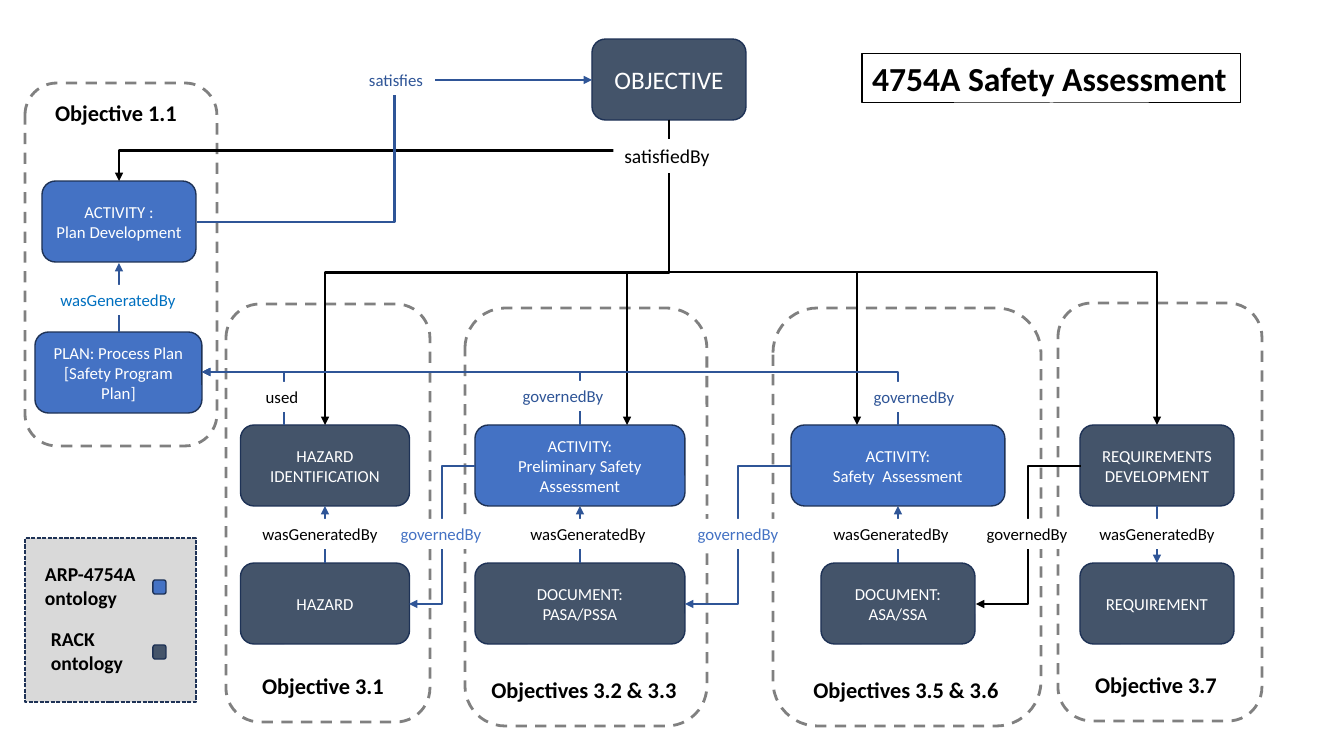
import dataclasses

import lxml.etree
import pptx
import pptx.dml.color
import pptx.enum.dml
import pptx.enum.shapes
import pptx.enum.text
import pptx.oxml.ns
import pptx.util

SHAPE = pptx.enum.shapes.MSO_SHAPE
CONNECTOR = pptx.enum.shapes.MSO_CONNECTOR
ALIGN = pptx.enum.text.PP_ALIGN
ANCHOR = pptx.enum.text.MSO_ANCHOR
DASH = pptx.enum.dml.MSO_LINE
qn = pptx.oxml.ns.qn


@dataclasses.dataclass(frozen=True)
class Theme:
    font: str = "Calibri"
    white: str = "FFFFFF"
    black: str = "000000"
    slate: str = "44546A"
    blue: str = "4472C4"
    link: str = "2F5597"
    sky: str = "0070C0"
    edge: str = "1E3256"
    frame: str = "808080"
    panel: str = "D9D9D9"
    title: int = 24
    objective: int = 18
    caption: int = 16
    legend: int = 14
    body: int = 12


T = Theme()
BOX_H = 81
LABEL_H = 30
ROW_GAP = 138


def px(n):
    return pptx.util.Emu(round(n * 914400 / 100.8))


def rgb(color):
    return pptx.dml.color.RGBColor.from_string(color)


def set_text(sp, text, size, color, bold=False, align=ALIGN.CENTER, wrap=True, anchor=ANCHOR.MIDDLE):
    tf = sp.text_frame
    tf.text = text
    tf.word_wrap = wrap
    tf.auto_size = pptx.enum.text.MSO_AUTO_SIZE.NONE
    tf.vertical_anchor = anchor
    for p in tf.paragraphs:
        p.alignment = align
        p.font.name = T.font
        p.font.size = pptx.util.Pt(size)
        p.font.bold = bold
        p.font.color.rgb = rgb(color)


def add_box(slide, box, fill=None, line=T.edge, width=1, dash=None, kind=SHAPE.ROUNDED_RECTANGLE):
    sp = slide.shapes.add_shape(kind, *map(px, box))
    sp.shadow.inherit = False
    if fill:
        sp.fill.solid()
        sp.fill.fore_color.rgb = rgb(fill)
    else:
        sp.fill.background()
    sp.line.color.rgb = rgb(line)
    sp.line.width = pptx.util.Pt(width)
    if dash:
        sp.line.dash_style = dash
    return sp


def add_node(slide, box, text, fill, size=T.body):
    set_text(add_box(slide, box, fill), text, size, T.white)


def add_frame(slide, box):
    add_box(slide, box, line=T.frame, width=2, dash=DASH.DASH)


def add_caption(slide, cx, y, w, text):
    sp = slide.shapes.add_textbox(*map(px, (cx - w / 2, y, w, 37)))
    set_text(sp, text, T.caption, T.black, bold=True, wrap=False)


def add_label(slide, cx, y, w, text, color, size=T.body, h=LABEL_H):
    sp = slide.shapes.add_textbox(*map(px, (cx - w / 2, y, w, h)))
    sp.fill.solid()
    sp.fill.fore_color.rgb = rgb(T.white)
    set_text(sp, text, size, color, wrap=False)


def add_arrow(slide, start, end, color=T.link, width=1.5, kind=CONNECTOR.STRAIGHT):
    c = slide.shapes.add_connector(kind, *map(px, start + end))
    c.line.color.rgb = rgb(color)
    c.line.width = pptx.util.Pt(width)
    ln = c.line._get_or_add_ln()
    lxml.etree.SubElement(ln, qn("a:tailEnd"), type="triangle")
    lxml.etree.SubElement(c.element.spPr, qn("a:effectLst"))
    return c


def add_vertical_elbow(slide, start, end, color, width, preset="bentConnector3"):
    c = add_arrow(slide, start, end, color, width, CONNECTOR.ELBOW)
    dx, dy = end[0] - start[0], end[1] - start[1]
    w, h = abs(dy), abs(dx)
    c.left = px((start[0] + end[0] - w) / 2)
    c.top = px((start[1] + end[1] - h) / 2)
    c.width, c.height = px(w), px(h)
    xfrm = c.element.spPr.find(qn("a:xfrm"))
    for name in ("flipH", "flipV"):
        xfrm.attrib.pop(name, None)
    xfrm.set("rot", str((90 if dy > 0 else 270) * 60000))
    if (dx > 0) == (dy > 0):
        xfrm.set("flipV", "1")
    c.element.spPr.find(qn("a:prstGeom")).set("prst", preset)


def add_title(slide, box):
    sp = slide.shapes.title
    sp.left, sp.top, sp.width, sp.height = map(px, box)
    sp.line.color.rgb = rgb(T.black)
    sp.line.width = pptx.util.Pt(0.75)
    set_text(sp, "4754A Safety Assessment", T.title, T.black, bold=True, align=ALIGN.LEFT, wrap=False)


def add_legend(slide, box):
    x, y, w, h = box
    add_box(slide, box, T.panel, dash=DASH.SQUARE_DOT, kind=SHAPE.RECTANGLE)
    entries = (("ARP-4754A\nontology", T.blue, 10, 113), ("RACK\nontology", T.slate, 16, 103))
    for i, (text, color, dx, text_w) in enumerate(entries):
        row = y + 19 + 65 * i
        add_box(slide, (x + 128, row + 23, 13, 14), color)
        sp = slide.shapes.add_textbox(*map(px, (x + dx, row, text_w, 57)))
        set_text(sp, text, T.legend, T.black, bold=True, align=ALIGN.LEFT, anchor=ANCHOR.TOP)


def add_plan_region(slide, box):
    x, y, w, h = box
    cx = x + 94
    add_frame(slide, box)
    add_node(slide, (x + 17, y + 98, 154, BOX_H), "ACTIVITY :\nPlan Development", T.blue)
    add_node(slide, (x + 10, y + 249, 167, BOX_H), "PLAN: Process Plan\n[Safety Program Plan]", T.blue)
    add_arrow(slide, (cx, y + 249), (cx, y + 180))
    add_label(slide, cx - 1, y + 202, 137, "wasGeneratedBy", T.sky)
    add_caption(slide, cx - 3, y + 11, 144, "Objective 1.1")


def add_column(slide, box, axis, row, upper, lower, label_dx, caption, caption_dx, down=False):
    x, y, w, h = box
    cx, top = x + axis, y + row
    bottom = top + ROW_GAP
    add_frame(slide, box)
    for node_y, (text, fill, node_w) in ((top, upper), (bottom, lower)):
        add_node(slide, (cx - node_w / 2, node_y, node_w, BOX_H), text, fill)
    ends = (cx, bottom), (cx, top + BOX_H)
    add_arrow(slide, *(ends[::-1] if down else ends))
    add_label(slide, cx + label_dx, top + 94, 137, "wasGeneratedBy", T.black)
    add_caption(slide, cx + caption_dx, y + 363, 208 if "&" in caption else 144, caption)


COLUMNS = (
    ((226, 304, 204, 418), 99, 121, ("HAZARD IDENTIFICATION", T.slate, 169),
     ("HAZARD", T.slate, 169), -5, "Objective 3.1", -2),
    ((465, 308, 242, 418), 115, 117, ("ACTIVITY:\nPreliminary Safety Assessment", T.blue, 210),
     ("DOCUMENT:\nPASA/PSSA", T.slate, 210), 8, "Objectives 3.2 & 3.3", 4),
    ((773, 308, 268, 418), 125, 117, ("ACTIVITY:\nSafety  Assessment", T.blue, 214),
     ("DOCUMENT: ASA/SSA", T.slate, 154), -7, "Objectives 3.5 & 3.6", 8),
    ((1058, 303, 204, 418), 99, 122, ("REQUIREMENTS DEVELOPMENT", T.slate, 154),
     ("REQUIREMENT", T.slate, 154), 0, "Objective 3.7", -1, True),
)
LINK_LABELS = (
    (282, 382, 53, "used", T.black),
    (563, 381, 102, "governedBy", T.link),
    (914, 382, 102, "governedBy", T.link),
    (441, 519, 102, "governedBy", T.blue),
    (738, 519, 101, "governedBy", T.blue),
    (1027, 519, 104, "governedBy", T.black),
    (396, 65, 78, "satisfies", T.link),
)


def add_links(slide, box):
    x, y, w, h = box
    source = (x + w // 2, y + h)
    for target in ((119, 181), (325, 425), (627, 425), (857, 425), (1157, 425)):
        add_vertical_elbow(slide, source, target, T.black, 1.5)
    for start_x in (284, 580, 898):
        add_vertical_elbow(slide, (start_x, 425), (202, 372), T.link, 1.75, "bentConnector2")
    for start, end, color, width in (
        ((475, 466), (409, 604), T.link, 1.75),
        ((791, 466), (685, 604), T.link, 1.75),
        ((1081, 466), (976, 604), T.black, 1.5),
        ((197, 222), (x, y + 41), T.link, 1.75),
    ):
        add_arrow(slide, start, end, color, width, CONNECTOR.ELBOW)
    for label in LINK_LABELS:
        add_label(slide, *label)
    add_label(slide, source[0] - 2, y + 100, 107, "satisfiedBy", T.black, T.legend, 34)


prs = pptx.Presentation()
prs.slide_width, prs.slide_height = px(1344), px(756)
slide = prs.slides.add_slide(prs.slide_layouts[5])
objective = (592, 39, 154, BOX_H)
add_title(slide, (862, 53, 379, 50))
add_legend(slide, (25, 538, 171, 164))
add_node(slide, objective, "OBJECTIVE", T.slate, T.objective)
add_plan_region(slide, (25, 83, 192, 363))
for column in COLUMNS:
    add_column(slide, *column)
add_links(slide, objective)
prs.save("out.pptx")
